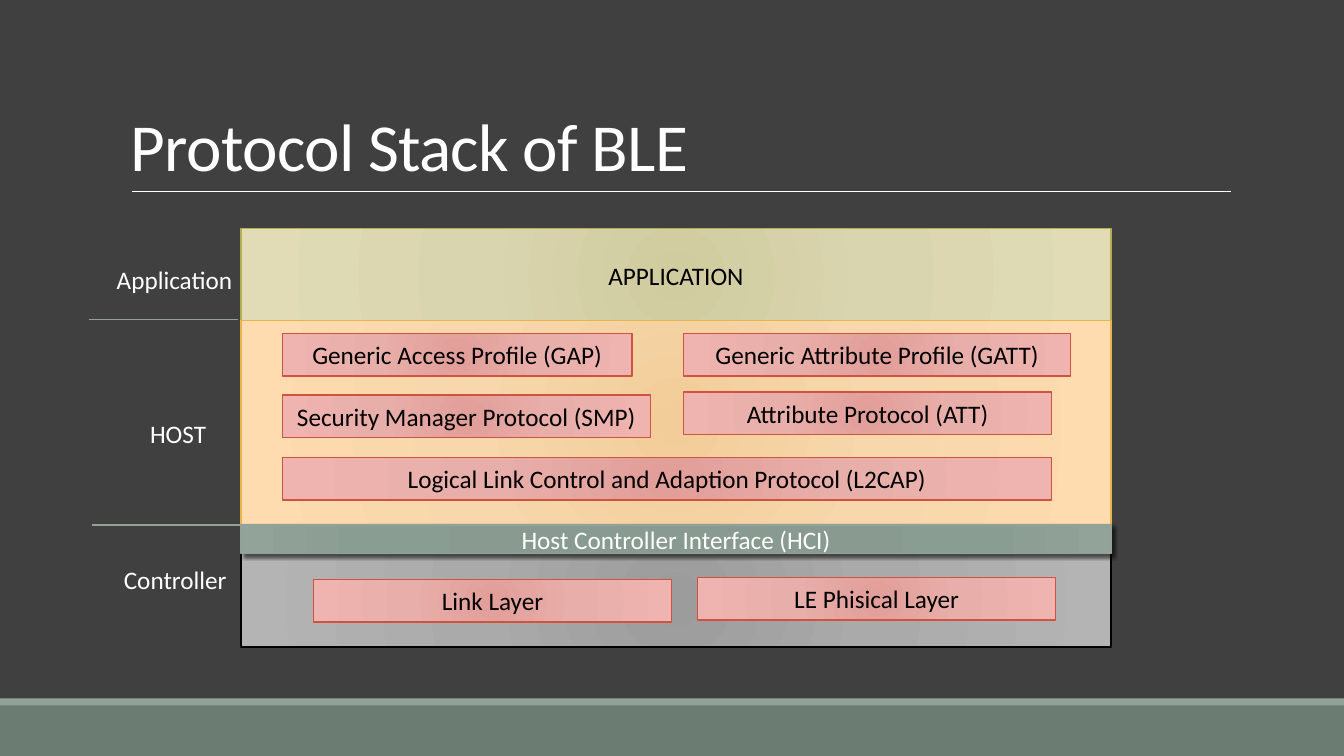
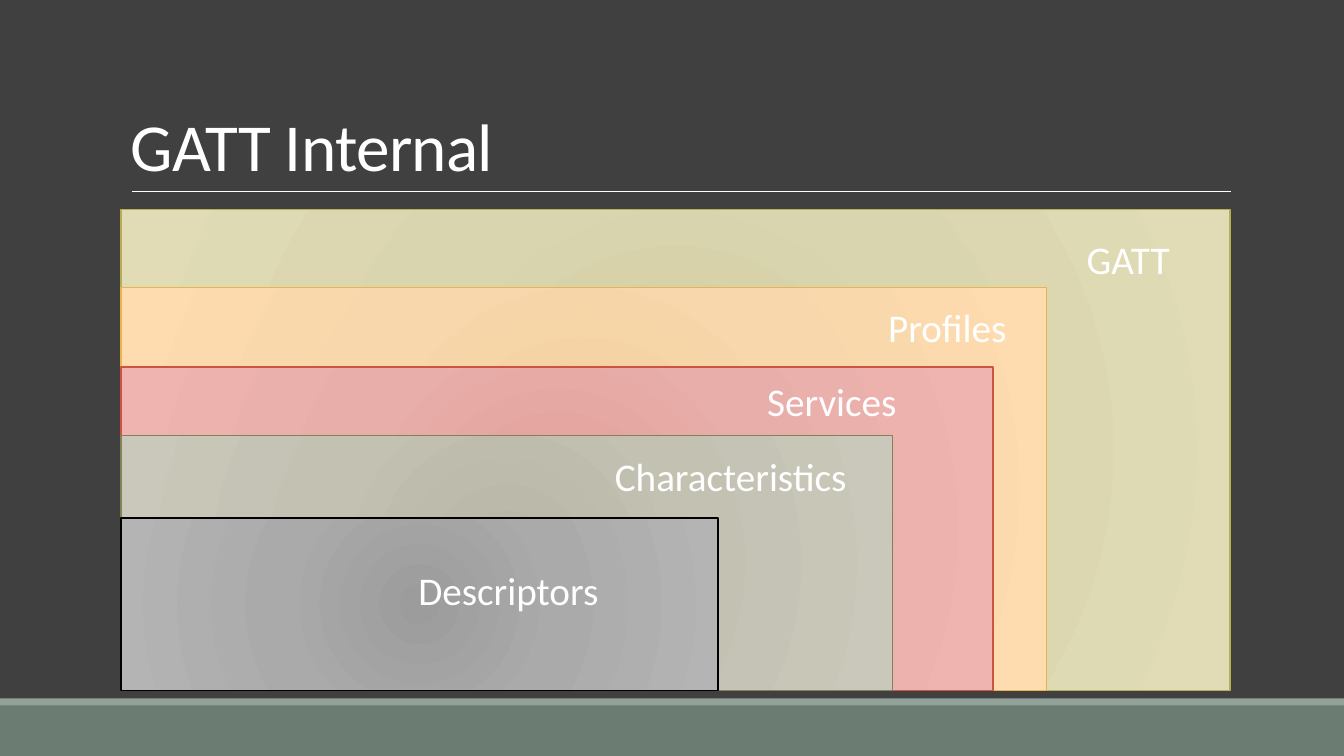
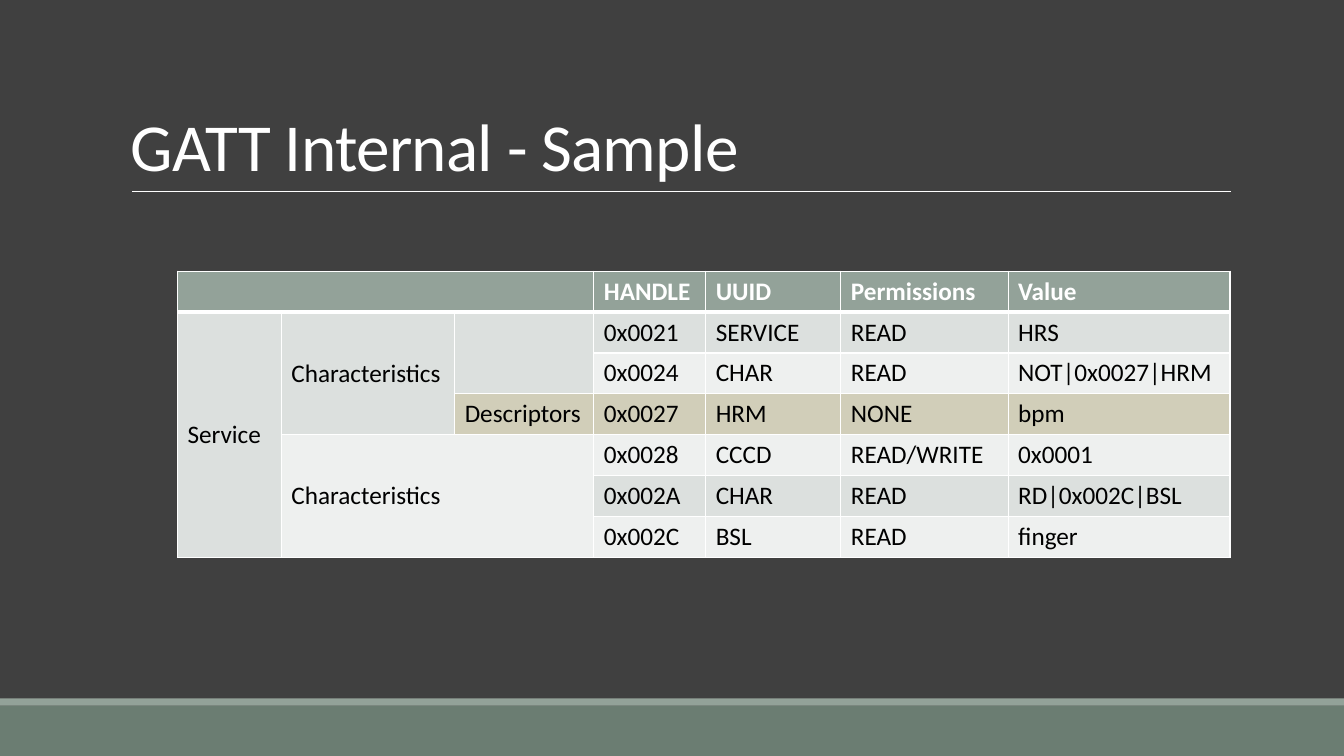
import collections
import lxml.etree
import pptx
import pptx.dml.color
import pptx.enum.shapes
import pptx.enum.text
import pptx.oxml
import pptx.oxml.ns
import pptx.util

Inches = pptx.util.Inches
Pt = pptx.util.Pt
RGBColor = pptx.dml.color.RGBColor
Shapes = pptx.enum.shapes.MSO_SHAPE
Anchor = pptx.enum.text.MSO_ANCHOR
Align = pptx.enum.text.PP_ALIGN
qn = pptx.oxml.ns.qn

Box = collections.namedtuple("Box", "left top width height")
Tone = collections.namedtuple("Tone", "stops line")

FONT = "Calibri"
WHITE = RGBColor(0xFF, 0xFF, 0xFF)
BLACK = RGBColor(0x00, 0x00, 0x00)
CHARCOAL = RGBColor(0x40, 0x40, 0x40)
SAGE = RGBColor(0x93, 0xA2, 0x99)
DARK_SAGE = RGBColor(0x6B, 0x7D, 0x72)
ROW_DARK = RGBColor(0xDC, 0xE0, 0xDE)
ROW_LIGHT = RGBColor(0xEE, 0xF0, 0xEF)
ROW_MARKED = RGBColor(0xD1, 0xCE, 0xB9)


def soft_tone(inner, middle, outer, line):
    stops = zip((0, 45, 100), map(RGBColor.from_string, (inner, middle, outer)))
    return Tone(tuple(stops), line)


OLIVE = soft_tone("D1CC9F", "D9D5AF", "E1DCB5", RGBColor(0xB5, 0xAE, 0x53))
ORANGE = soft_tone("F2CD99", "F7D7AB", "FEDCAF", RGBColor(0xE8, 0xB5, 0x4D))
RED = soft_tone("E29E98", "E8AEAA", "EFB4AF", RGBColor(0xCF, 0x54, 0x3F))
KHAKI = soft_tone("B7B5A4", "C2C1B2", "CAC8BA", RGBColor(0x84, 0x80, 0x58))
GREY = soft_tone("9C9C9C", "AAAAAA", "B4B4B4", BLACK)
BAND = Tone(
    (
        (0, RGBColor(0x87, 0x99, 0x8E)),
        (34, RGBColor(0x89, 0x9A, 0x90)),
        (70, RGBColor(0x8A, 0x9D, 0x92)),
        (100, RGBColor(0x92, 0xA3, 0x99)),
    ),
    SAGE,
)


def apply_format(target, values):
    for name, value in values.items():
        setattr(target, name, value)


def add_node(parent, tag, **values):
    node = lxml.etree.SubElement(parent, qn(tag))
    for name, value in values.items():
        node.set(name, str(value))
    return node


def write_text(frame, text, size=18, color=WHITE, bold=False, align=Align.LEFT):
    para = frame.paragraphs[0]
    para.alignment = align
    span = para.add_run()
    span.text = text
    apply_format(span.font, {"name": FONT, "size": Pt(size), "bold": bold})
    span.font.color.rgb = color
    return para


def place(box):
    return [Inches(length) for length in box]


def add_bar(page, box, color):
    bar = page.shapes.add_shape(Shapes.RECTANGLE, *place(box))
    bar.shadow.inherit = False
    bar.fill.solid()
    bar.fill.fore_color.rgb = color
    bar.line.fill.background()


def add_rule(page, start, end, color, weight):
    rule = page.shapes.add_connector(
        pptx.enum.shapes.MSO_CONNECTOR.STRAIGHT, *place(start + end)
    )
    rule.line.color.rgb = color
    rule.line.width = Pt(weight)
    add_node(rule._element.spPr, "a:effectLst")


def fill_radial(shape, stops):
    shape.fill.background()
    blank = shape._element.spPr.find(qn("a:noFill"))
    gradient = pptx.oxml.parse_xml(
        '<a:gradFill rotWithShape="1" %s/>' % pptx.oxml.ns.nsdecls("a")
    )
    stop_list = add_node(gradient, "a:gsLst")
    for percent, color in stops:
        stop = add_node(stop_list, "a:gs", pos=percent * 1000)
        add_node(stop, "a:srgbClr", val=color)
    circle = add_node(gradient, "a:path", path="circle")
    add_node(circle, "a:fillToRect", **dict.fromkeys("ltrb", 100000))
    blank.getparent().replace(blank, gradient)


def add_block(page, box, tone, text="", color=BLACK):
    block = page.shapes.add_shape(Shapes.RECTANGLE, *place(box))
    block.shadow.inherit = False
    fill_radial(block, tone.stops)
    block.line.color.rgb = tone.line
    block.line.width = Pt(1)
    if text:
        block.text_frame.vertical_anchor = Anchor.MIDDLE
        write_text(block.text_frame, text, color=color, align=Align.CENTER)
    return block


def cast_shadow(shape):
    effects = shape._element.spPr.find(qn("a:effectLst"))
    shadow = add_node(
        effects, "a:outerShdw", blurRad=Pt(3), dist=Pt(2), dir=45 * 60000
    )
    tint = add_node(shadow, "a:srgbClr", val=BLACK)
    add_node(tint, "a:alpha", val=60000)


def add_label(page, box, text, size):
    label = page.shapes.add_textbox(*place(box))
    apply_format(
        label.text_frame,
        {
            "word_wrap": False,
            "auto_size": pptx.enum.text.MSO_AUTO_SIZE.SHAPE_TO_FIT_TEXT,
        },
    )
    write_text(label.text_frame, text, size)


def add_page(deck, title):
    page = deck.slides.add_slide(deck.slide_layouts[6])
    page.background.fill.solid()
    page.background.fill.fore_color.rgb = CHARCOAL
    add_bar(page, Box(0, 7, 13.33, 0.5), DARK_SAGE)
    add_bar(page, Box(0, 6.93, 13.33, 0.07), SAGE)
    add_rule(page, (1.31, 1.9), (12.21, 1.9), WHITE, 0.5)
    heading = page.shapes.add_textbox(*place(Box(1.2, 0.3, 11, 1.59)))
    apply_format(
        heading.text_frame, {"word_wrap": True, "vertical_anchor": Anchor.BOTTOM}
    )
    para = write_text(heading.text_frame, title, 48)
    para.line_spacing = 0.85
    para.runs[0]._r.get_or_add_rPr().set("spc", "-50")
    return page


def draw_stack(page, box):
    def layer(top, height, tone, text="", color=BLACK):
        return add_block(
            page, Box(box.left, box.top + top, box.width, height), tone, text, color
        )

    def protocols(items):
        for left, top, width, text in items:
            add_block(
                page, Box(box.left + left, box.top + top, width, 0.42), RED, text
            )

    layer(0, 0.93, OLIVE, "APPLICATION")
    layer(3.22, 0.93, GREY)
    protocols([(0.72, 3.48, 3.55, "Link Layer"), (4.53, 3.46, 3.55, "LE Phisical Layer")])
    layer(0.91, 2.03, ORANGE)
    protocols(
        [
            (0.41, 1.04, 3.47, "Generic Access Profile (GAP)"),
            (4.39, 1.04, 3.84, "Generic Attribute Profile (GATT)"),
            (0.41, 1.65, 3.65, "Security Manager Protocol (SMP)"),
            (4.39, 1.62, 3.65, "Attribute Protocol (ATT)"),
            (0.41, 2.27, 7.63, "Logical Link Control and Adaption Protocol (L2CAP)"),
        ]
    )
    cast_shadow(layer(2.94, 0.28, BAND, "Host Controller Interface (HCI)", WHITE))


def draw_stack_labels(page, box):
    for left, top, width, text in (
        (0.51, 1.83, 0.76, "HOST"),
        (0.25, 3.28, 1.23, "Controller"),
        (0.18, 0.3, 1.36, "Application"),
    ):
        add_label(page, Box(box.left + left, box.top + top, width, 0.4), text, 18)
    for left, top in ((0.03, 2.94), (0, 0.9)):
        start = (box.left + left + 1.48, box.top + top)
        add_rule(page, start, (box.left + left, box.top + top), SAGE, 1)


def draw_nested_layers(page, box):
    layers = (
        (0, 11, OLIVE, "GATT", 9.48, 0.21, 1.03),
        (0.77, 9.18, ORANGE, "Profiles", 7.51, 0.88, 1.45),
        (1.56, 8.65, RED, "Services", 6.31, 1.61, 1.5),
        (2.24, 7.65, KHAKI, "Characteristics", 4.8, 2.36, 2.53),
        (3.06, 5.92, GREY, "Descriptors", 2.85, 3.49, 2.01),
    )
    for top, width, tone, *_ in layers:
        add_block(page, Box(box.left, box.top + top, width, box.height - top), tone)
    for *_, text, left, top, width in layers:
        add_label(page, Box(box.left + left, box.top + top, width, 0.57), text, 28)


def set_borders(cell, weights):
    properties = cell._tc.get_or_add_tcPr()
    for index, (side, weight) in enumerate(zip("LRTB", weights)):
        border = add_node(properties, "a:ln" + side, w=Pt(weight))
        add_node(add_node(border, "a:solidFill"), "a:srgbClr", val=WHITE)
        properties.insert(index, border)


def draw_attribute_table(page, box):
    rows = (
        ("", "", "", "HANDLE", "UUID", "Permissions", "Value"),
        ("Service", "Characteristics", "", "0x0021", "SERVICE", "READ", "HRS"),
        ("", "", "", "0x0024", "CHAR", "READ", "NOT|0x0027|HRM"),
        ("", "", "Descriptors", "0x0027", "HRM", "NONE", "bpm"),
        ("", "Characteristics", "", "0x0028", "CCCD", "READ/WRITE", "0x0001"),
        ("", "", "", "0x002A", "CHAR", "READ", "RD|0x002C|BSL"),
        ("", "", "", "0x002C", "BSL", "READ", "finger"),
    )
    fills = (SAGE, ROW_DARK, ROW_LIGHT, ROW_MARKED, ROW_LIGHT, ROW_DARK, ROW_LIGHT)
    widths = (1.03, 1.72, 1.38, 1.11, 1.34, 1.66, 2.2)
    merges = (
        ((0, 0), (0, 2)),
        ((1, 0), (6, 0)),
        ((1, 1), (3, 1)),
        ((1, 2), (2, 2)),
        ((4, 1), (6, 2)),
    )
    table = page.shapes.add_table(len(rows), len(widths), *place(box)).table
    apply_format(table, {"first_row": False, "horz_banding": False})
    for column, width in zip(table.columns, widths):
        column.width = Inches(width)
    for row_index, (texts, fill) in enumerate(zip(rows, fills)):
        table.rows[row_index].height = Inches(box.height / len(rows))
        header = row_index == 0
        for column_index, text in enumerate(texts):
            cell = table.cell(row_index, column_index)
            cell.fill.solid()
            cell.fill.fore_color.rgb = fill
            set_borders(cell, (1, 1, 3 if row_index == 1 else 1, 3 if header else 1))
            if column_index < 3:
                cell.vertical_anchor = Anchor.MIDDLE
            if text:
                color = WHITE if header else BLACK
                write_text(cell.text_frame, text, color=color, bold=header)
    for first, last in merges:
        table.cell(*first).merge(table.cell(*last))


def build_deck():
    deck = pptx.Presentation()
    apply_format(
        deck, {"slide_width": Inches(13.33), "slide_height": Inches(7.5)}
    )
    page = add_page(deck, "Protocol Stack of BLE")
    draw_stack(page, Box(2.39, 2.27, 8.63, 4.15))
    draw_stack_labels(page, Box(0.88, 2.27, 1.51, 4.15))
    page = add_page(deck, "GATT Internal")
    draw_nested_layers(page, Box(1.2, 2.08, 11, 4.77))
    page = add_page(deck, "GATT Internal - Sample")
    draw_attribute_table(page, Box(1.76, 2.69, 10.44, 2.84))
    deck.save("out.pptx")


build_deck()
